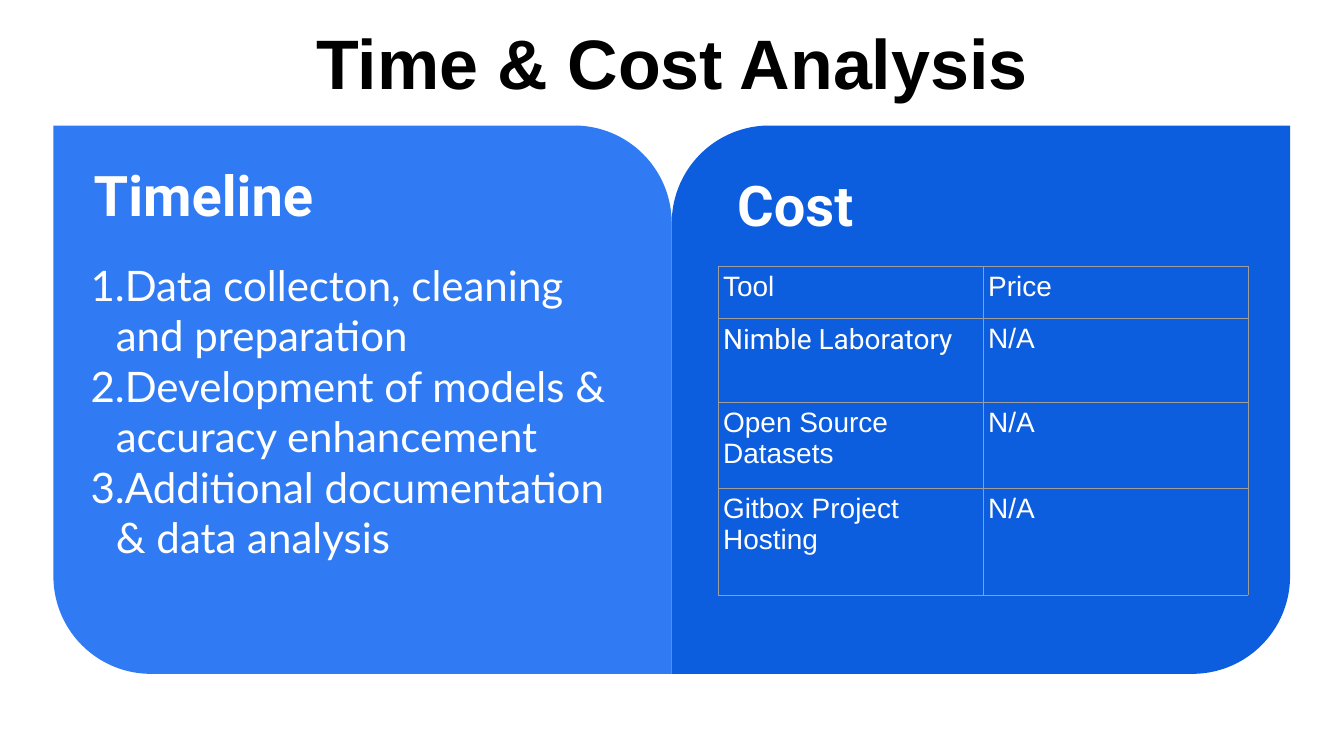
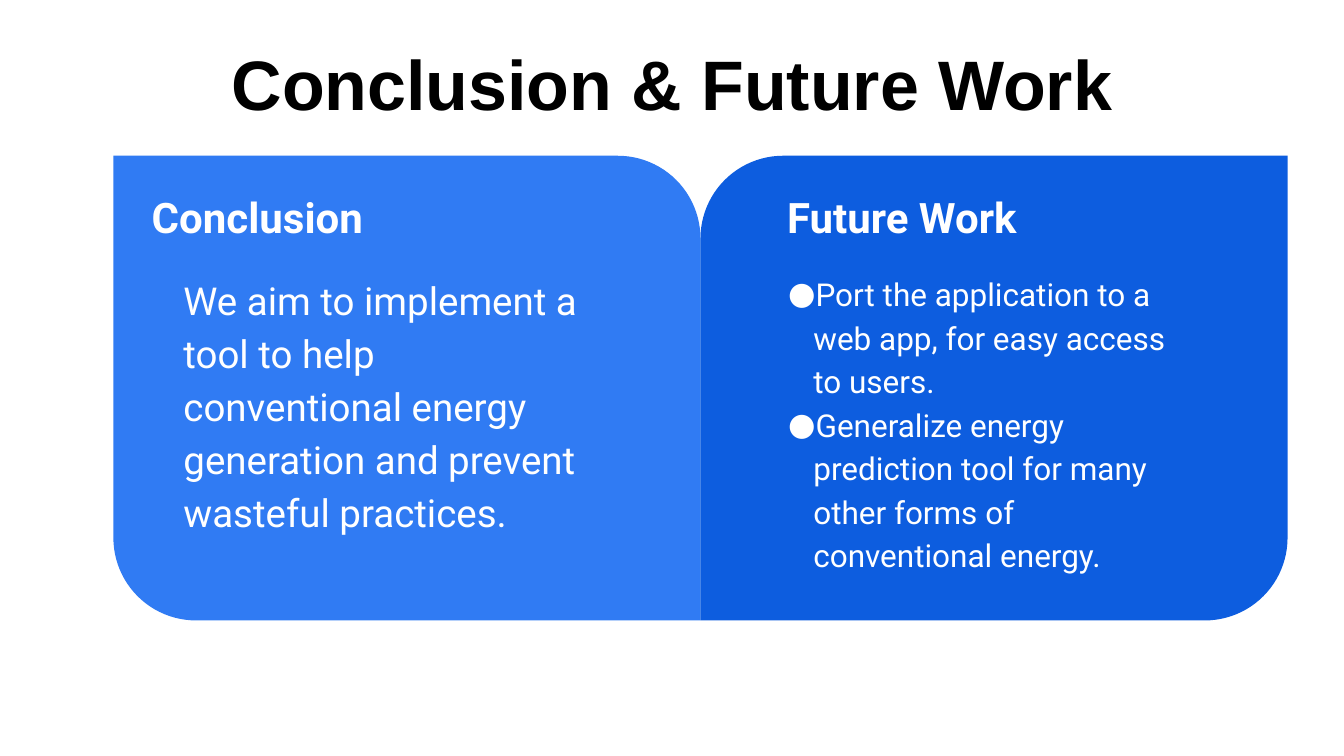
from dataclasses import dataclass

from lxml import etree
from pptx import Presentation
from pptx import util as u
from pptx.dml import color
from pptx.enum import shapes, text
from pptx.oxml import ns

PX = 9144


@dataclass(frozen=True)
class Theme:
    ink: str = "000000"
    white: str = "FFFFFF"
    light_blue: str = "307BF3"
    deep_blue: str = "0D5DDF"
    grid: str = "9E9E9E"
    title_font: str = "Arial"
    body_font: str = "Roboto"
    list_font: str = "Lato"
    title_size: int = 100
    large_heading: int = 80
    heading: int = 60
    list_size: int = 60
    statement_size: int = 55
    bullet_size: int = 45
    table_size: int = 40
    corner: float = 0.178
    panel_inset: int = 27
    table_inset: int = 10
    grid_width: float = 0.75


THEME = Theme()


def px(*lengths):
    return [u.Emu(length * PX) for length in lengths]


def rgb(value):
    return color.RGBColor.from_string(value)


def add_span(para, words, size, font=THEME.body_font, tint=THEME.white, bold=False):
    span = para.add_run()
    span.text = words
    span.font.size = u.Pt(size)
    span.font.name = font
    span.font.bold = bold
    span.font.color.rgb = rgb(tint)


def add_mark(para, hang, font, tag, **attributes):
    properties = para._p.get_or_add_pPr()
    properties.set("marL", str(50 * PX))
    properties.set("indent", str(-hang * PX))
    tint = etree.SubElement(properties, ns.qn("a:buClr"))
    etree.SubElement(tint, ns.qn("a:srgbClr"), val=THEME.white)
    etree.SubElement(properties, ns.qn("a:buFont"), typeface=font)
    etree.SubElement(properties, ns.qn(tag), **attributes)


def add_box(page, place, inset):
    frame = page.shapes.add_textbox(*px(*place)).text_frame
    frame.word_wrap = True
    frame.margin_left = frame.margin_top = u.Emu(inset * PX)
    frame.margin_right = frame.margin_bottom = u.Emu(inset * PX)
    return frame


def add_title(page, words, height):
    frame = add_box(page, (225, 0, 2217, height), 6)
    frame.vertical_anchor = text.MSO_ANCHOR.BOTTOM
    para = frame.paragraphs[0]
    para.alignment = text.PP_ALIGN.CENTER
    para.line_spacing = 0.7
    add_span(para, words, THEME.title_size, THEME.title_font, THEME.ink, True)


def add_panels(page, left, top, width, height):
    looks = ((THEME.light_blue, (0, THEME.corner)), (THEME.deep_blue, (THEME.corner, 0)))
    for index, (tint, corners) in enumerate(looks):
        panel = page.shapes.add_shape(
            shapes.MSO_SHAPE.ROUND_2_DIAG_RECTANGLE,
            *px(left + index * width, top, width, height))
        panel.adjustments[0], panel.adjustments[1] = corners
        panel.shadow.inherit = False
        panel.fill.solid()
        panel.fill.fore_color.rgb = rgb(tint)
        panel.line.fill.background()


def add_heading(page, words, place, size):
    para = add_box(page, place, THEME.panel_inset).paragraphs[0]
    add_span(para, words, size, bold=True)


def add_statement(page, words, place):
    para = add_box(page, place, THEME.panel_inset).paragraphs[0]
    para.line_spacing = 1.15
    para.space_after = u.Pt(43)
    add_span(para, words, THEME.statement_size)


def add_list(page, items, place, inset, size, font, spacing, hang, tag, **mark):
    frame = add_box(page, place, inset)
    for index, words in enumerate(items):
        para = frame.add_paragraph() if index else frame.paragraphs[0]
        para.line_spacing = spacing
        add_mark(para, hang, font, tag, **mark)
        add_span(para, words, size, font)


def add_borders(cell):
    properties = cell._tc.get_or_add_tcPr()
    for index, side in enumerate(("lnL", "lnR", "lnT", "lnB")):
        line = etree.Element(ns.qn("a:" + side), w=str(u.Pt(THEME.grid_width)))
        fill = etree.SubElement(line, ns.qn("a:solidFill"))
        etree.SubElement(fill, ns.qn("a:srgbClr"), val=THEME.grid)
        properties.insert(index, line)


def add_price_table(page, rows, left, top, column_width, heights):
    place = px(left, top, 2 * column_width, sum(heights))
    table = page.shapes.add_table(len(rows), 2, *place).table
    table.first_row = table.horz_banding = False
    for column in table.columns:
        column.width = u.Emu(column_width * PX)
    for row, height, entries in zip(table.rows, heights, rows):
        row.height = u.Emu(height * PX)
        for cell, (words, font) in zip(row.cells, entries):
            cell.margin_left = cell.margin_right = u.Emu(THEME.table_inset * PX)
            cell.margin_top = cell.margin_bottom = u.Emu(THEME.table_inset * PX)
            cell.fill.background()
            add_borders(cell)
            para = cell.text_frame.paragraphs[0]
            if font == THEME.body_font:
                para.space_after = u.Pt(43)
            add_span(para, words, THEME.table_size, font)


def build_time_and_cost(page):
    add_title(page, "Time & Cost Analysis", 207)
    add_panels(page, 106, 249, 1227, 1088)
    add_heading(page, "Cost", (1436, 311, 394, 163), THEME.large_heading)
    add_heading(page, "Timeline", (159, 291, 971, 131), THEME.large_heading)
    plain = THEME.title_font
    rows = (
        (("Tool", plain), ("Price", plain)),
        (("Nimble Laboratory", THEME.body_font), ("N/A", plain)),
        (("Open Source Datasets", plain), ("N/A", plain)),
        (("Gitbox Project Hosting", plain), ("N/A", plain)),
    )
    add_price_table(page, rows, 1425, 528, 526, (103, 167, 171, 212))
    steps = (
        "Data collecton, cleaning and preparation",
        "Development of models & accuracy enhancement",
        "Additional documentation & data analysis",
    )
    add_list(page, steps, (170, 505, 1088, 699), 10, THEME.list_size,
             THEME.list_font, 1.0, 67, "a:buAutoNum", type="arabicPeriod")


def build_conclusion(page):
    add_title(page, "Conclusion & Future Work", 249)
    add_panels(page, 225, 309, 1165, 922)
    add_heading(page, "Future Work", (1535, 353, 558, 141), THEME.heading)
    add_heading(page, "Conclusion", (274, 353, 578, 121), THEME.heading)
    plans = (
        "Port the application to a web app, for easy access to users.",
        "Generalize energy prediction tool for many other forms of "
        "conventional energy.",
    )
    add_list(page, plans, (1537, 508, 870, 301), THEME.panel_inset,
             THEME.bullet_size, THEME.body_font, 1.15, 56, "a:buChar", char="●")
    add_statement(page, "We aim to implement a tool to help conventional energy "
                  "generation and prevent wasteful practices.", (337, 508, 870, 301))


def main():
    deck = Presentation()
    deck.slide_width, deck.slide_height = px(2667, 1500)
    for build in (build_time_and_cost, build_conclusion):
        build(deck.slides.add_slide(deck.slide_layouts[6]))
    deck.save("out.pptx")


if __name__ == "__main__":
    main()
